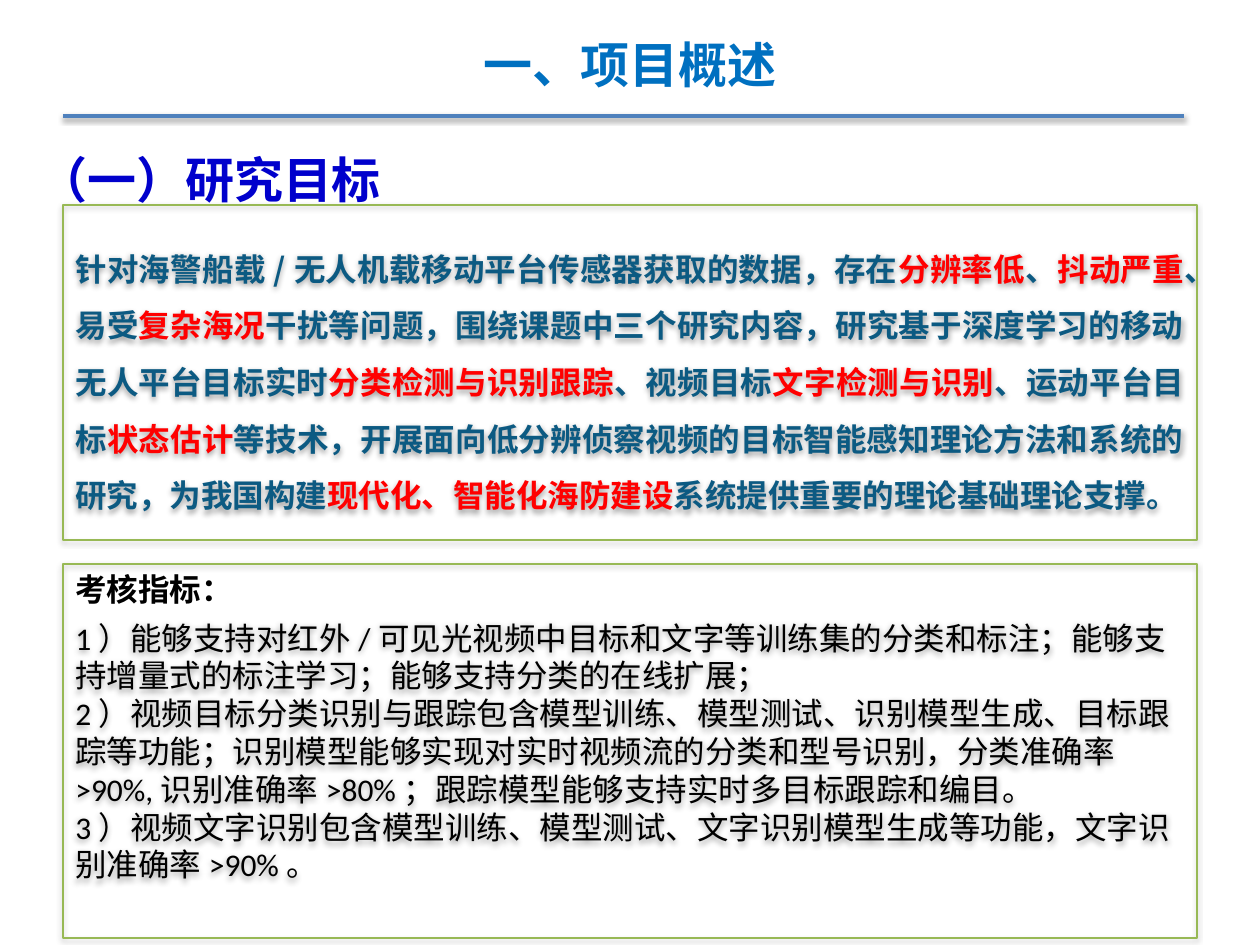
from lxml.etree import SubElement as Sub
from pptx import Presentation
from pptx.dml.color import RGBColor as RGB
from pptx.enum.shapes import MSO_CONNECTOR as LINK, MSO_SHAPE as SHAPE
from pptx.enum.text import MSO_ANCHOR as ANCHOR, PP_ALIGN as ALIGN
from pptx.oxml.ns import qn
from pptx.util import Emu, Pt

PX = 914400 // 126
BLUE = RGB(0x00, 0x70, 0xC0)
NAVY = RGB(0x00, 0x00, 0xCC)
TEAL = RGB(0x0C, 0x5A, 0x82)
RED = RGB(0xFF, 0x00, 0x00)
BLACK = RGB(0x00, 0x00, 0x00)
RULE = RGB(0x4F, 0x81, 0xBD)
GREEN = RGB(0x98, 0xB9, 0x55)
SANS = "Noto Sans CJK SC"

# Key phrases stand between bars.
GOAL = (
    "针对海警船载/无人机载移动平台传感器获取的数据，存在|分辨率低|、|抖动严重|、易受"
    "|复杂海况|干扰等问题，围绕课题中三个研究内容，研究基于深度学习的移动无人平台目标实时"
    "|分类检测与识别跟踪|、视频目标|文字检测与识别|、运动平台目标|状态估计|等技术，"
    "开展面向低分辨侦察视频的目标智能感知理论方法和系统的研究，为我国构建"
    "|现代化、智能化海防建设|系统提供重要的理论基础理论支撑。"
)
TESTS = [
    "1）能够支持对红外/可见光视频中目标和文字等训练集的分类和标注；"
    "能够支持增量式的标注学习；能够支持分类的在线扩展；",
    "2）视频目标分类识别与跟踪包含模型训练、模型测试、识别模型生成、目标跟踪等功能；"
    "识别模型能够实现对实时视频流的分类和型号识别，分类准确率>90%,识别准确率>80%；"
    "跟踪模型能够支持实时多目标跟踪和编目。",
    "3）视频文字识别包含模型训练、模型测试、文字识别模型生成等功能，文字识别准确率>90%。",
]


def px(*nums):
    return [Emu(n * PX) for n in nums]


def add_shade(shape):
    """Give the shape a soft shadow that falls straight down."""
    fx = Sub(shape._element.spPr, qn("a:effectLst"))
    shade = Sub(fx, qn("a:outerShdw"), blurRad=str(Pt(3.1)), dist=str(Pt(1.6)),
                dir="5400000", rotWithShape="0")
    tint = Sub(shade, qn("a:srgbClr"), val="000000")
    Sub(tint, qn("a:alpha"), val="38000")


def set_font(para, face, size, color, bold):
    font = para.font
    font.name, font.size, font.bold = face, Pt(size), bold
    font.color.rgb = color
    props = para._p.pPr.find(qn("a:defRPr"))
    Sub(props, qn("a:ea"), typeface=SANS)


def write(frame, lines, face, size, color, bold=False, align=ALIGN.LEFT, gap=1.0):
    """Write one paragraph a line, with red for the parts between bars."""
    for i, line in enumerate(lines):
        para = frame.add_paragraph() if i else frame.paragraphs[0]
        para.alignment, para.line_spacing = align, gap
        set_font(para, face, size, color, bold)
        for j, part in enumerate(line.split("|")):
            run = para.add_run()
            run.text = part
            run.font.color.rgb = RED if j % 2 else color


def add_label(slide, box, text, face, size, color, wrap=False, **style):
    frame = slide.shapes.add_textbox(*px(*box)).text_frame
    frame.word_wrap = wrap
    frame.vertical_anchor = ANCHOR.MIDDLE if wrap else ANCHOR.TOP
    write(frame, [text], face, size, color, bold=True, **style)


def add_panel(slide, box, lines, face, color, **style):
    panel = slide.shapes.add_shape(SHAPE.RECTANGLE, *px(*box))
    panel.fill.background()
    panel.line.color.rgb, panel.line.width = GREEN, Pt(0.75)
    add_shade(panel)
    frame = panel.text_frame
    frame.word_wrap, frame.vertical_anchor = True, ANCHOR.MIDDLE
    write(frame, lines, face, 18, color, **style)


def add_rule(slide, ends):
    rule = slide.shapes.add_connector(LINK.STRAIGHT, *px(*ends))
    rule.line.color.rgb, rule.line.width = RULE, Pt(2)
    add_shade(rule)


def main():
    deck = Presentation()
    deck.slide_width, deck.slide_height = px(1260, 945)
    slide = deck.slides.add_slide(deck.slide_layouts[6])
    add_label(slide, (26, 120, 373, 96), "（一）研究目标", "Times New Roman", 28,
              NAVY, gap=1.4)
    add_rule(slide, (63, 116, 1184, 116))
    add_panel(slide, (63, 205, 1134, 335), [GOAL], SANS, TEAL, bold=True,
              align=ALIGN.JUSTIFY, gap=1.5)
    add_label(slide, (63, 25, 1134, 77), "一、项目概述", SANS, 28, BLUE, wrap=True,
              align=ALIGN.CENTER)
    add_panel(slide, (63, 564, 1134, 374), TESTS, "Calibri", BLACK)
    add_label(slide, (63, 564, 184, 50), "考核指标：", SANS, 18, BLACK)
    deck.save("out.pptx")


if __name__ == "__main__":
    main()
